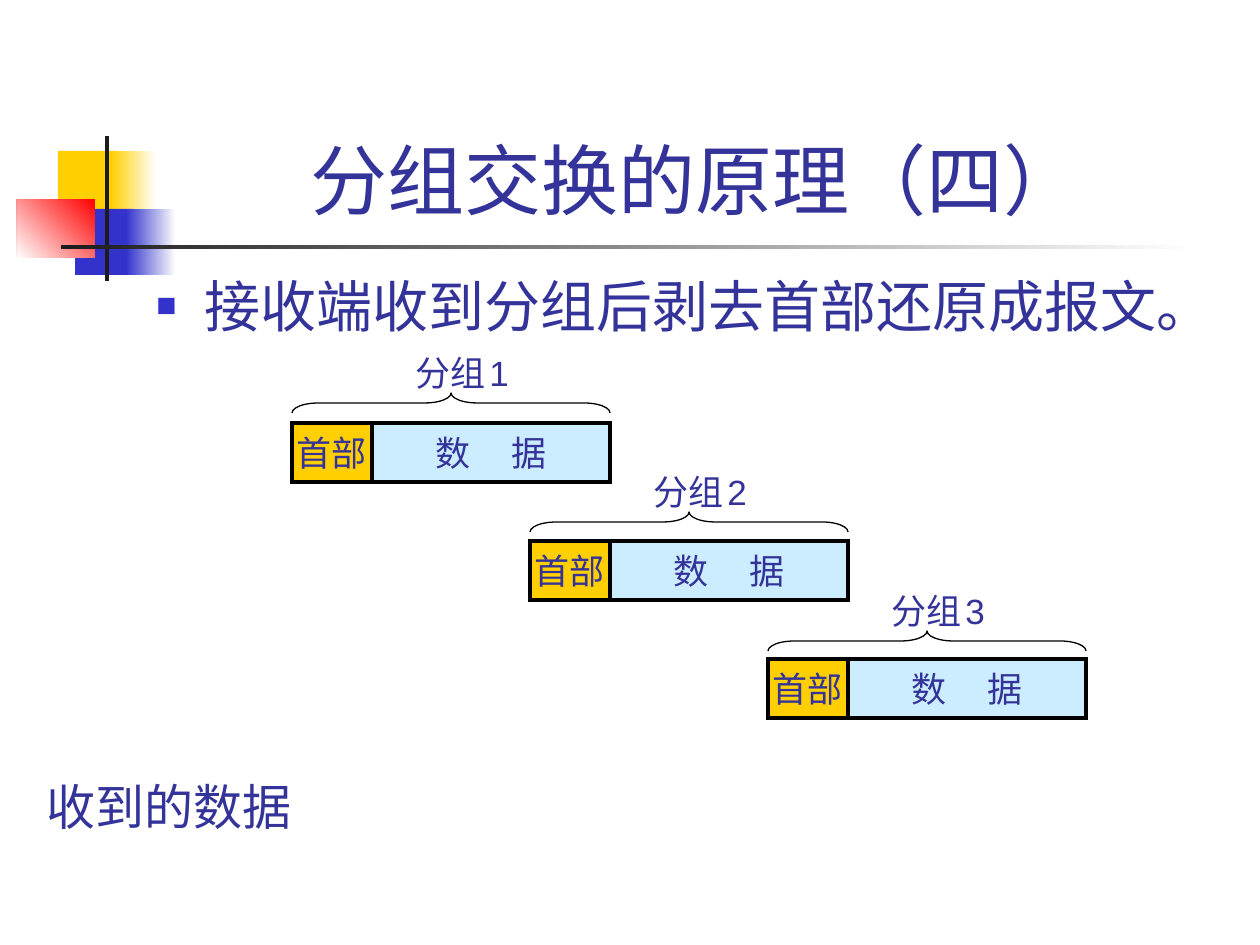
from lxml import etree
from pptx import Presentation
from pptx import util as u
from pptx.dml.color import RGBColor
from pptx.enum import shapes, text
from pptx.oxml.ns import qn

EMU_PER_PX = 914400 / 126
NAVY = RGBColor(0x33, 0x33, 0x99)
BLUE = RGBColor(0x33, 0x33, 0xCC)
YELLOW = RGBColor(0xFF, 0xCF, 0x01)
RED = RGBColor(0xFF, 0x00, 0x00)
PALE_BLUE = RGBColor(0xCC, 0xEC, 0xFF)
CHARCOAL = RGBColor(0x1C, 0x1C, 0x1C)
BLACK = RGBColor(0, 0, 0)
WHITE = RGBColor(0xFF, 0xFF, 0xFF)

PACKET_COUNT = 3
HEAD_W, DATA_W, PACKET_H = 80, 238, 59
PACKET_W = HEAD_W + DATA_W
BRACE_H = 20


def px(n):
    return u.Emu(round(n * EMU_PER_PX))


def add_rect(parent, box, fill=None):
    sp = parent.add_shape(shapes.MSO_SHAPE.RECTANGLE, *map(px, box))
    sp.shadow.inherit = False
    sp.line.fill.background()
    if fill is not None:
        sp.fill.solid()
        sp.fill.fore_color.rgb = fill
    return sp


def add_gradient_rect(parent, box, start, end, angle):
    """Angle is counter-clockwise, in degrees."""
    fill = add_rect(parent, box).fill
    fill.gradient()
    fill.gradient_angle = angle
    for stop, color in zip(fill.gradient_stops, (start, end)):
        stop.color.rgb = color


def add_run(p, words, size, font):
    r = p.add_run()
    r.text = words
    r.font.size = u.Pt(size)
    r.font.name = font
    r.font.color.rgb = NAVY
    return r


def add_text(parent, box, words, size, font):
    sp = parent.add_textbox(*map(px, box))
    sp.text_frame.word_wrap = True
    p = sp.text_frame.paragraphs[0]
    add_run(p, words, size, font)
    return sp.text_frame, p


def add_bullet(p, indent):
    pPr = p._p.get_or_add_pPr()
    pPr.set("marL", str(px(indent)))
    pPr.set("indent", str(-px(indent)))
    color = etree.SubElement(pPr, qn("a:buClr"))
    etree.SubElement(color, qn("a:srgbClr"), val=str(BLUE))
    etree.SubElement(pPr, qn("a:buSzPct"), val="60000")
    etree.SubElement(pPr, qn("a:buFont"), typeface="Arial")
    etree.SubElement(pPr, qn("a:buChar"), char="■")


def add_cell(parent, box, fill):
    """Outlined packet field; returns its centred paragraph."""
    sp = add_rect(parent, box, fill)
    sp.line.color.rgb = BLACK
    sp.line.width = u.Pt(2.25)
    etree.SubElement(sp.line._get_or_add_ln(), qn("a:miter"), lim="800000")
    tf = sp.text_frame
    tf.word_wrap = False
    tf.vertical_anchor = text.MSO_ANCHOR.MIDDLE
    p = tf.paragraphs[0]
    p.alignment = text.PP_ALIGN.CENTER
    return p


def add_brace(parent, x, y):
    """Brace over a packet: a left brace turned a quarter to point up."""
    left = x + (PACKET_W - BRACE_H) / 2
    top = y + (BRACE_H - PACKET_W) / 2
    sp = parent.add_shape(shapes.MSO_SHAPE.LEFT_BRACE,
                          *map(px, (left, top, BRACE_H, PACKET_W)))
    sp.rotation = 90
    sp.adjustments[0] = 1.31
    sp.shadow.inherit = False
    sp.fill.background()
    sp.line.color.rgb = BLACK
    sp.line.width = u.Pt(0.75)


def add_packet(parent, number):
    step = number - 1
    x = 292 + DATA_W * step
    y = 423 + 118 * step
    caption_y = 345 + 119 * step

    p = add_cell(parent, (x + HEAD_W, y, DATA_W, PACKET_H), PALE_BLUE)
    add_run(p, "数", 20, "Roboto")
    gap = add_run(p, " ", 20, "Roboto")
    gap.font._element.set("spc", "1900")
    add_run(p, "据", 20, "Roboto")

    p = add_cell(parent, (x, y, HEAD_W, PACKET_H), YELLOW)
    add_run(p, "首部", 20, "Roboto")

    caption = parent.add_group_shape().shapes
    add_brace(caption, x, caption_y + 48)
    tf, p = add_text(caption, (x + 111, caption_y, 136, 55),
                     "分组", 20, "Roboto")
    add_run(p, " ", 10, "Arial")
    add_run(p, str(number), 20, "Arial")


def add_ornament(parent):
    add_rect(parent, (58, 151, 60, 66), YELLOW)
    add_gradient_rect(parent, (111, 151, 45, 66), WHITE, YELLOW, 180)
    add_rect(parent, (75, 209, 58, 66), BLUE)
    add_gradient_rect(parent, (126, 209, 50, 66), WHITE, BLUE, 180)
    add_gradient_rect(parent, (17, 199, 78, 59), RED, WHITE, 225)
    add_rect(parent, (105, 136, 4, 145), CHARCOAL)
    add_gradient_rect(parent, (61, 245, 1134, 4), WHITE, CHARCOAL, 180)


def main():
    prs = Presentation()
    prs.slide_width, prs.slide_height = px(1260), px(945)
    s = prs.slides.add_slide(prs.slide_layouts[6])
    add_ornament(s.shapes)

    tf, p = add_text(s.shapes, (159, 29, 1074, 202),
                     "分组交换的原理（四）", 44, "Arial")
    tf.vertical_anchor = text.MSO_ANCHOR.BOTTOM
    p.alignment = text.PP_ALIGN.CENTER

    tf, p = add_text(s.shapes, (144, 265, 1082, 139),
                     "接收端收到分组后剥去首部还原成报文。", 32, "Arial")
    p.space_before = u.Pt(8)
    add_bullet(p, 48)

    for number in range(1, PACKET_COUNT + 1):
        add_packet(s.shapes, number)

    tf, p = add_text(s.shapes, (34, 770, 277, 72), "收到的数据", 28, "Roboto")
    p.space_before = u.Pt(17.5)
    prs.save("out.pptx")


if __name__ == "__main__":
    main()
